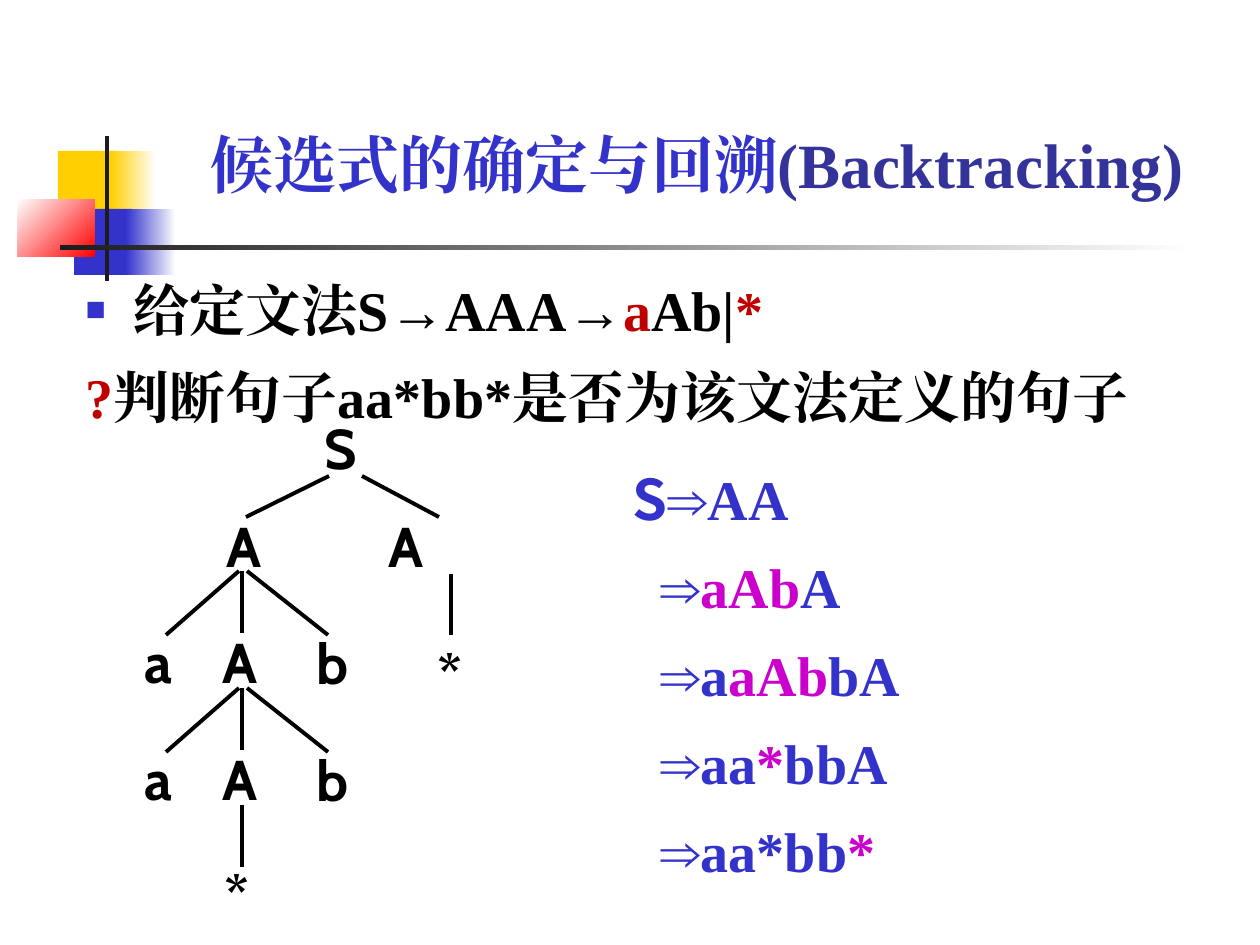
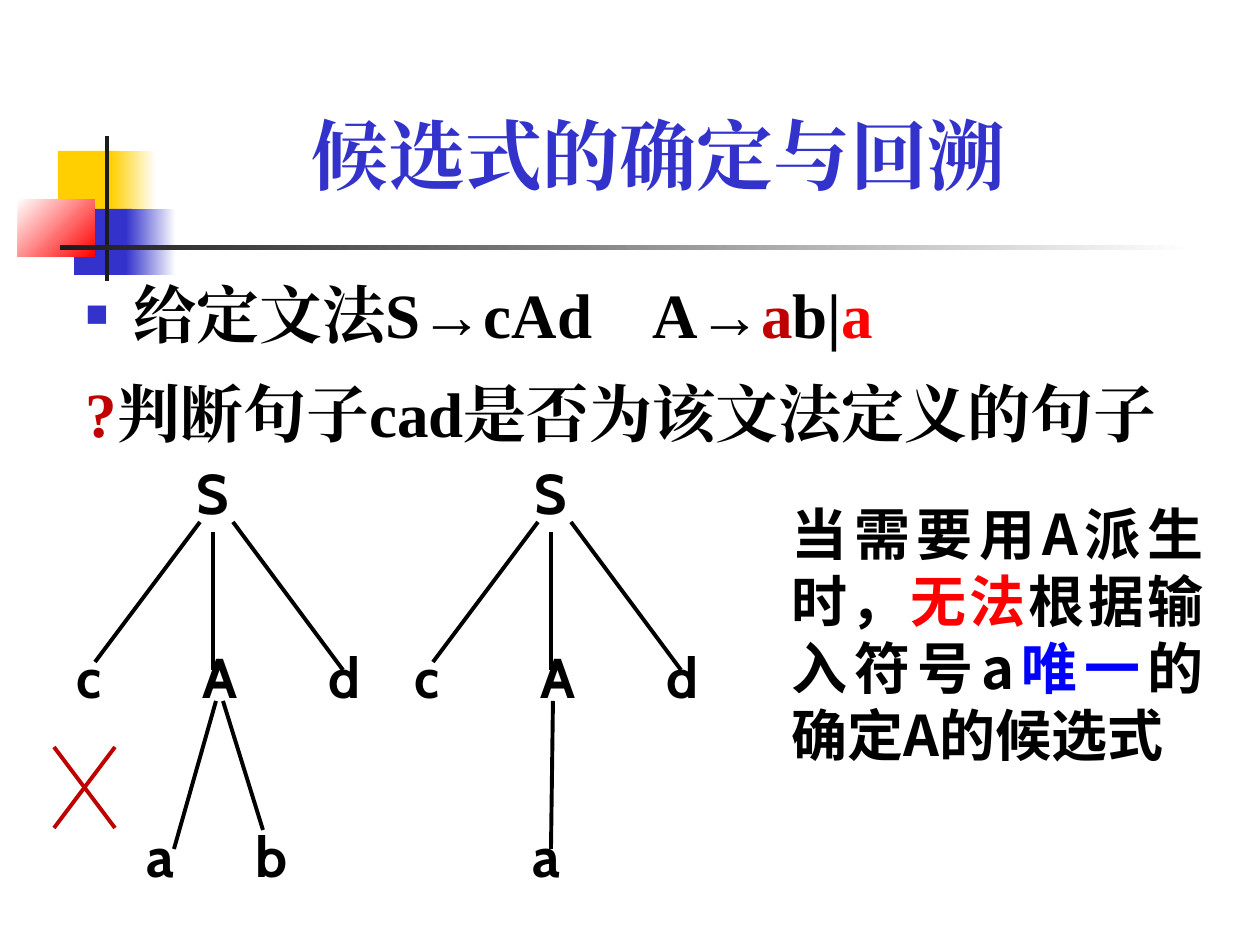
from lxml import etree
from pptx import Presentation
from pptx.dml.color import RGBColor
from pptx.enum.shapes import MSO_CONNECTOR, MSO_SHAPE
from pptx.enum.text import MSO_ANCHOR, MSO_AUTO_SIZE, PP_ALIGN
from pptx.oxml.ns import qn
from pptx.util import Pt

EMU_PER_PX = 914400 / 126
LEFT, JUSTIFY = PP_ALIGN.LEFT, PP_ALIGN.JUSTIFY
TOP, MIDDLE = MSO_ANCHOR.TOP, MSO_ANCHOR.MIDDLE
NO_AUTOFIT = MSO_AUTO_SIZE.NONE
RECTANGLE, STRAIGHT = MSO_SHAPE.RECTANGLE, MSO_CONNECTOR.STRAIGHT

BLACK = RGBColor(0x00, 0x00, 0x00)
WHITE = RGBColor(0xFF, 0xFF, 0xFF)
INK = RGBColor(0x1C, 0x1C, 0x1C)
YELLOW = RGBColor(0xFF, 0xCF, 0x01)
BLUE = RGBColor(0x33, 0x33, 0xCC)
NAVY = RGBColor(0x33, 0x33, 0x99)
PURE_BLUE = RGBColor(0x00, 0x00, 0xFF)
RED = RGBColor(0xFF, 0x00, 0x00)
DARK_RED = RGBColor(0xC0, 0x00, 0x00)
MAGENTA = RGBColor(0xCC, 0x00, 0xCC)

SERIF, TREE_FONT = "Times New Roman", "Cabin"
CJK_SC, CJK_JP = "Noto Sans CJK SC", "Noto Sans CJK JP"

# left, top, width, height, first colour, second colour (None: solid), angle
DECORATION = [
    (58, 151, 60, 66, YELLOW, None, 0),
    (111, 151, 45, 66, YELLOW, WHITE, 0),
    (74, 209, 58, 66, BLUE, None, 0),
    (126, 209, 50, 66, BLUE, WHITE, 0),
    (18, 199, 77, 58, WHITE, RED, 315),
    (105, 136, 4, 145, INK, None, 0),
    (60, 245, 1134, 5, INK, WHITE, 0),
]


def px(value):
    return round(value * EMU_PER_PX)


def set_attributes(target, values):
    for name, value in values.items():
        setattr(target, name, value)


def place(shape, left, top, width, height):
    set_attributes(shape, {"left": px(left), "top": px(top),
                           "width": px(width), "height": px(height)})


def write_runs(paragraph, runs, size, font=SERIF):
    """Add bold runs, each given as (text, colour) or (text, colour, font)."""
    for text, colour, *own_font in runs:
        run = paragraph.add_run()
        run.text = text
        name = own_font[0] if own_font else font
        set_attributes(run.font, {"size": Pt(size), "bold": True, "name": name})
        run.font.color.rgb = colour
        east_asian = etree.SubElement(run.font._element, qn("a:ea"))
        east_asian.set("typeface", SERIF if font == SERIF else TREE_FONT)


def set_indent(paragraph, margin, first_line=0):
    properties = paragraph._p.get_or_add_pPr()
    properties.set("marL", str(px(margin)))
    properties.set("indent", str(px(first_line)))
    return properties


def set_bullet(paragraph):
    properties = set_indent(paragraph, 48, -48)
    colour = etree.SubElement(properties, qn("a:buClr"))
    etree.SubElement(colour, qn("a:srgbClr")).set("val", str(BLUE))
    etree.SubElement(properties, qn("a:buSzPct")).set("val", "60000")
    etree.SubElement(properties, qn("a:buChar")).set("char", "■")


def add_paragraphs(frame, lines, size):
    """Write one spaced paragraph per list of runs and return the paragraphs."""
    paragraphs = []
    for index, runs in enumerate(lines):
        paragraph = frame.add_paragraph() if index else frame.paragraphs[0]
        set_attributes(paragraph, {"alignment": LEFT, "line_spacing": 1.1,
                                   "space_before": Pt(size / 4)})
        write_runs(paragraph, runs, size)
        paragraphs.append(paragraph)
    return paragraphs


def add_decoration(slide, layout):
    """Draw the shared corner blocks and rule, and hand them to the layout."""
    for left, top, width, height, first, second, angle in DECORATION:
        shape = slide.shapes.add_shape(
            RECTANGLE, px(left), px(top), px(width), px(height))
        shape.shadow.inherit = False
        shape.line.fill.background()
        if second is None:
            shape.fill.solid()
            shape.fill.fore_color.rgb = first
        else:
            shape.fill.gradient()
            shape.fill.gradient_angle = angle
            for stop, colour in zip(shape.fill.gradient_stops, (first, second)):
                stop.color.rgb = colour
        layout.shapes._spTree.append(shape._element)


def fill_title(slide, box, runs, size):
    title = slide.shapes.title
    place(title, *box)
    set_attributes(title.text_frame, {"vertical_anchor": MIDDLE, "word_wrap": True,
                                      "auto_size": NO_AUTOFIT})
    paragraph = title.text_frame.paragraphs[0]
    paragraph.alignment = LEFT
    write_runs(paragraph, runs, size)


def fill_body(slide, height, grammar, question, size):
    body = slide.placeholders[1]
    place(body, 73, 262, 1166, height)
    set_attributes(body.text_frame, {"vertical_anchor": TOP, "word_wrap": True,
                                     "auto_size": NO_AUTOFIT})
    lines = [grammar, [("?", DARK_RED), (question, BLACK)]]
    first, second = add_paragraphs(body.text_frame, lines, size)
    set_bullet(first)
    etree.SubElement(set_indent(second, 0), qn("a:buNone"))


def add_text_box(slide, left, top, width, height):
    box = slide.shapes.add_textbox(px(left), px(top), px(width), px(height))
    box.text_frame.word_wrap = True
    return box.text_frame


def add_labels(slide, labels):
    """Place tree symbols, each given as (text, left, top)."""
    for text, left, top in labels:
        frame = add_text_box(slide, left, top, 64, 80)
        write_runs(frame.paragraphs[0], [(text, BLACK)], 32, TREE_FONT)


def add_lines(slide, lines, colour=BLACK):
    """Draw straight lines, each given as (x1, y1, x2, y2)."""
    for ends in lines:
        connector = slide.shapes.add_connector(STRAIGHT, *map(px, ends))
        connector.line.color.rgb = colour
        connector.line.width = Pt(2.25)
        etree.SubElement(connector._element.spPr, qn("a:effectLst"))


def add_production_aAb(slide, top):
    add_lines(slide, [(239, top, 166, top + 64), (242, top, 242, top + 62),
                      (247, top, 328, top + 64)])
    add_labels(slide, [("a", 132, top + 50), ("A", 210, top + 50),
                       ("b", 304, top + 51)])


def add_production_cAd(slide, left):
    add_lines(slide, [(left + 136, 522, left + 31, 662),
                      (left + 149, 532, left + 149, 670),
                      (left + 169, 522, left + 279, 670)])
    add_labels(slide, [("S", left + 120, 452)])
    add_labels(slide, [(text, left + 126 * column, 636)
                       for column, text in enumerate("cAd")])


def add_derivation(slide):
    steps = [
        [("S", BLUE, CJK_SC), ("⇒AA", BLUE)],
        [("⇒", BLUE), ("aAb", MAGENTA), ("A", BLUE)],
        [("⇒a", BLUE), ("aAb", MAGENTA), ("bA", BLUE)],
        [("⇒aa", BLUE), ("*", MAGENTA), ("bbA", BLUE)],
        [("⇒aa*bb", BLUE), ("*", MAGENTA)],
    ]
    frame = add_text_box(slide, 620, 452, 596, 440)
    for paragraph in add_paragraphs(frame, steps, 32)[1:]:
        set_indent(paragraph, 28)


def add_note(slide):
    frame = add_text_box(slide, 779, 493, 437, 285)
    paragraph = frame.paragraphs[0]
    set_attributes(paragraph, {"alignment": JUSTIFY, "line_spacing": Pt(38.4),
                               "space_before": Pt(4)})
    write_runs(paragraph, [("当需要用A派生时，", BLACK), ("无法", RED),
                           ("根据输入符号a", BLACK), ("唯一", PURE_BLUE),
                           ("的确定A的候选式", BLACK)], 32, CJK_JP)


def build_backtracking_slide(slide):
    fill_title(slide, (198, 111, 1062, 105),
               [("候选式的确定与回溯", BLUE), ("(Backtracking)", NAVY)], 36)
    fill_body(slide, 190,
              [("给定文法S→AA\tA→", BLACK), ("a", DARK_RED), ("Ab|", BLACK),
               ("*", DARK_RED)],
              "判断句子aa*bb*是否为该文法定义的句子", 32)
    add_lines(slide, [(329, 476, 246, 517), (362, 476, 439, 517),
                      (242, 805, 242, 867), (451, 574, 451, 635)])
    add_labels(slide, [("S", 312, 407), ("A", 214, 505), ("A", 376, 505),
                       ("*", 212, 854), ("*", 425, 633)])
    for top in (571, 688):
        add_production_aAb(slide, top)
    add_derivation(slide)


def build_ambiguous_choice_slide(slide):
    fill_title(slide, (299, 86, 906, 135), [("候选式的确定与回溯", BLUE)], 44)
    fill_body(slide, 219,
              [("给定文法S→cAd\tA→", BLACK), ("a", DARK_RED), ("b|", BLACK),
               ("a", RED)],
              "判断句子cad是否为该文法定义的句子", 36)
    for left in (64, 402):
        add_production_cAd(slide, left)
    add_lines(slide, [(216, 701, 174, 849), (223, 701, 263, 830),
                      (553, 701, 551, 849)])
    add_labels(slide, [("a", 134, 815), ("b", 243, 815), ("a", 520, 815)])
    add_lines(slide, [(54, 747, 115, 828), (115, 747, 54, 828)], DARK_RED)
    add_note(slide)


def main():
    presentation = Presentation()
    set_attributes(presentation, {"slide_width": px(1260), "slide_height": px(945)})
    layout = presentation.slide_layouts[1]
    slides = [presentation.slides.add_slide(layout) for _ in range(2)]
    add_decoration(slides[0], layout)
    build_backtracking_slide(slides[0])
    build_ambiguous_choice_slide(slides[1])
    presentation.save("out.pptx")


if __name__ == "__main__":
    main()
